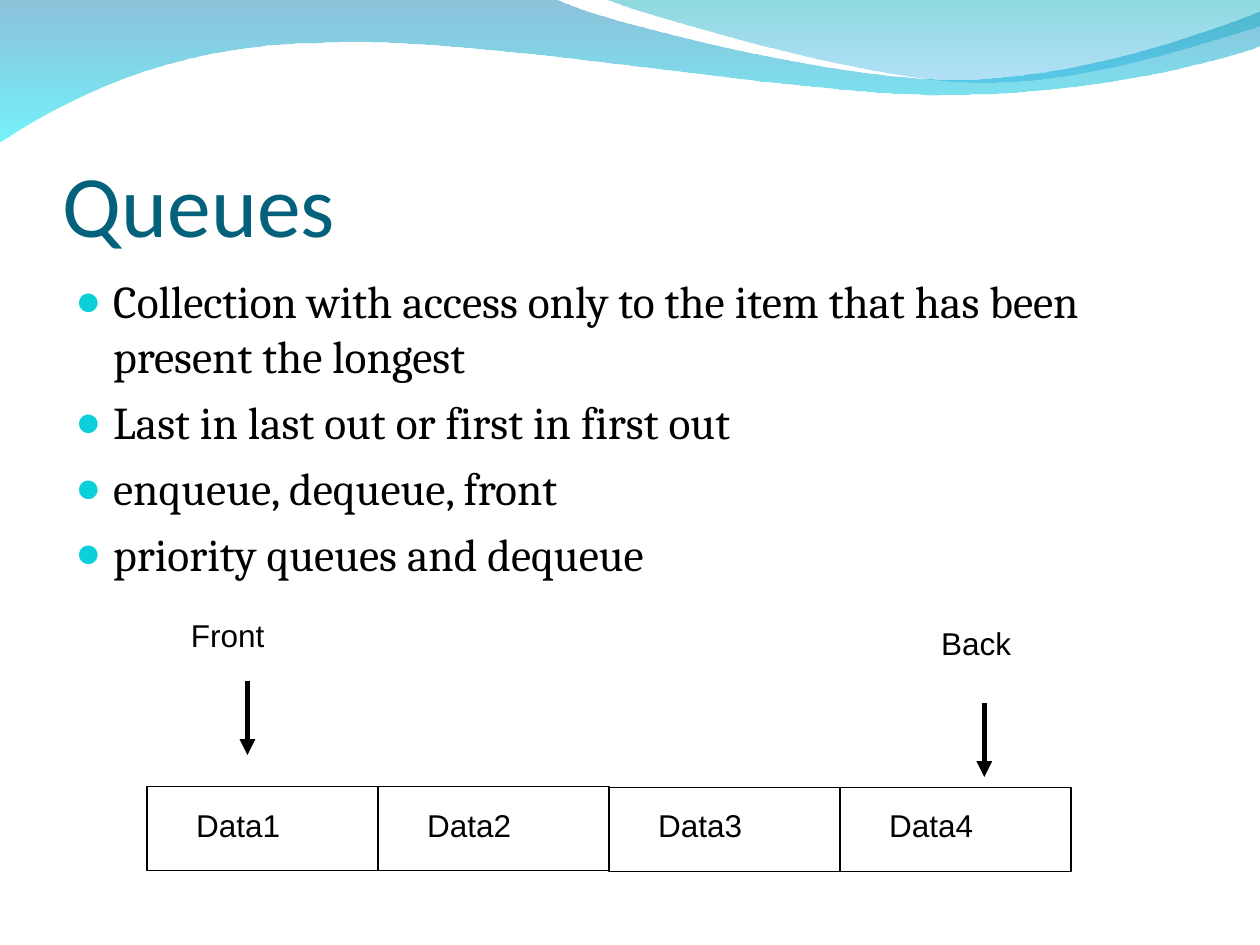
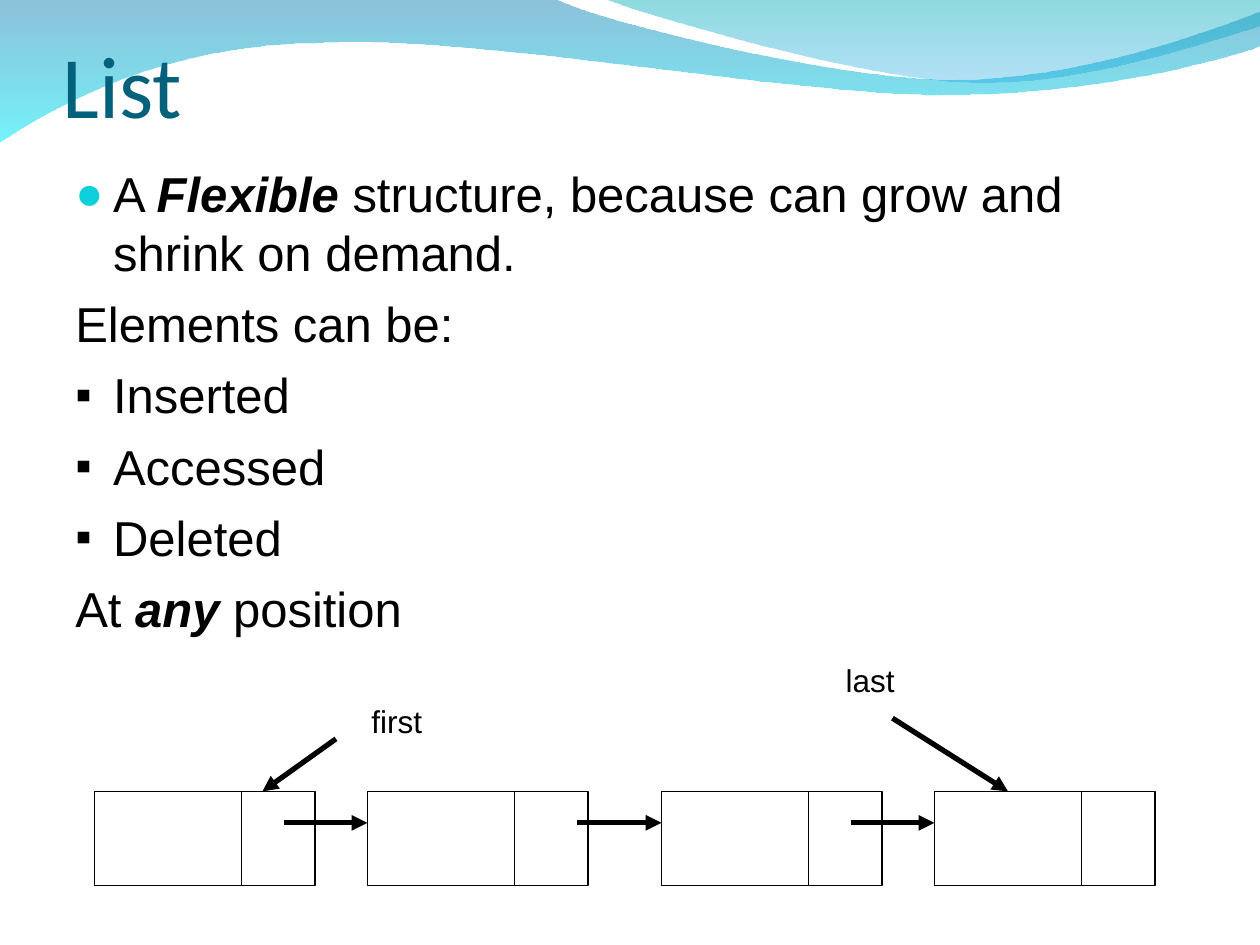
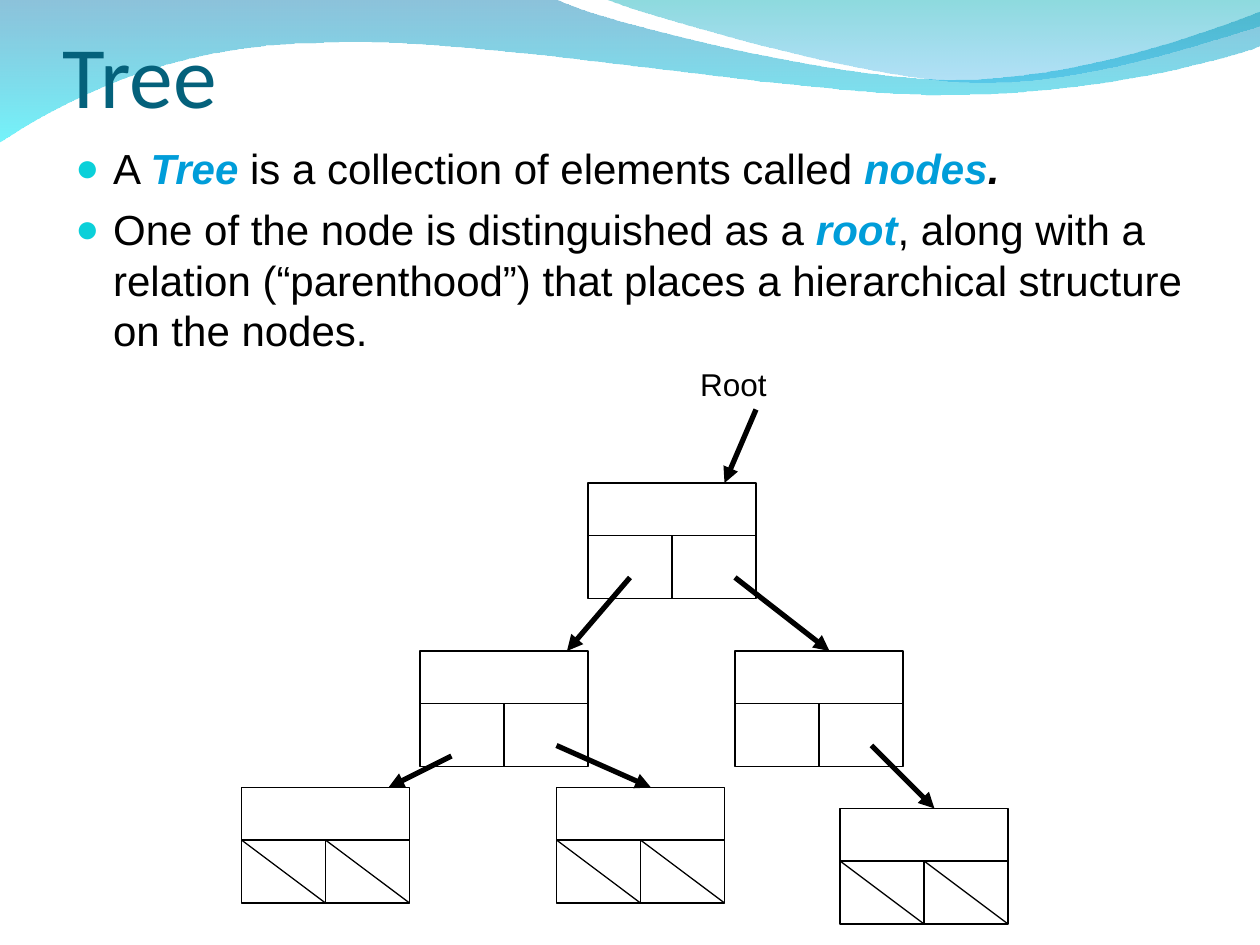
import pptx
import pptx.util
import pptx.dml.color
import pptx.enum.shapes
import pptx.enum.text
import pptx.oxml
import pptx.oxml.ns

COLS, ROWS = 120, 90  # twelve grid steps to the inch
STEP = pptx.util.Inches(1) // 12
INSET = pptx.util.Inches(0.1)
HANGING = pptx.util.Inches(0.3)

COLORS = {
    "title": "04617B", "text": "000000", "accent": "009DD9", "bullet": "0BD0D9",
    "wave_top": "0079AF", "wave_bottom": "00EBF8",
    "crest_top": "00ADB6", "crest_bottom": "009BE5",
}
BULLETS = {"dot": ("●", "bullet"), "square": ("▪", "text"), None: None}

# Outlines in inches: two numbers make a line, six a Bézier curve.
WAVE = [
    (0, -0.01), (4.4, -0.01), (4.76, 0.17, 6.64, 0.63, 7.58, 0.63),
    (8.53, 0.63, 9.58, 0.26, 10, 0.09), (10.01, 0.36),
    (9.83, 0.44, 8.7, 0.76, 7.46, 0.75), (6.22, 0.75, 3.82, 0.28, 2.57, 0.34),
    (1.29, 0.35, 0.46, 0.83, -0.01, 1.13),
]
CREST = [
    (4.79, -0.01), (5.09, 0.11, 6.82, 0.62, 7.69, 0.65),
    (8.56, 0.69, 9.61, 0.32, 10, 0.21), (10, 0),
]


def rgb(name):
    return pptx.dml.color.RGBColor.from_string(COLORS[name])


def add_xml(parent, tag, **attributes):
    child = pptx.oxml.parse_xml(f"<a:{tag} {pptx.oxml.ns.nsdecls('a')}/>")
    for key, value in attributes.items():
        child.set(key, str(value))
    parent.append(child)
    return child


def bend(sp, outline):
    """Join the three lines along each curve's control points into one curve."""
    path = next(sp._element.iter(pptx.oxml.ns.qn("a:path")))
    lines = iter(path.findall(pptx.oxml.ns.qn("a:lnTo")))
    for segment in outline[1:]:
        first = next(lines)
        if len(segment) == 6:
            curve = add_xml(path, "cubicBezTo")
            first.addprevious(curve)
            for line in (first, next(lines), next(lines)):
                curve.append(line[0])
                path.remove(line)


class Deck:
    """Holds the presentation, its style and the current slide."""

    def __init__(self):
        self.prs = pptx.Presentation()
        self.prs.slide_width, self.prs.slide_height = COLS * STEP, ROWS * STEP
        self.s = None

    def grid(self, *steps):
        return [round(n * STEP) for n in steps]

    def new_slide(self, title, top, height):
        self.s = self.prs.slides.add_slide(self.prs.slide_layouts[6])
        self.swoosh(WAVE, ("wave_top", 45), ("wave_bottom", 55))
        self.swoosh(CREST, ("crest_top", 45), ("crest_bottom", 30))
        tf = self.text_box(6, top, 108, height)
        tf.margin_left = tf.margin_right = tf.margin_bottom = 0
        tf.vertical_anchor = pptx.enum.text.MSO_ANCHOR.BOTTOM
        tf.text = title
        self.style(tf.paragraphs[0].runs[0], "Calibri", 50, "title")

    def swoosh(self, outline, *stops):
        """Draw a gradient shape; each stop is a colour and its opacity."""
        start, *points = [
            (pptx.util.Inches(segment[i]), pptx.util.Inches(segment[i + 1]))
            for segment in outline for i in range(0, len(segment), 2)]
        builder = self.s.shapes.build_freeform(*start)
        builder.add_line_segments(points, close=True)
        sp = builder.convert_to_shape()
        bend(sp, outline)
        sp.shadow.inherit = False
        sp.line.fill.background()
        sp.fill.gradient()
        sp.fill.gradient_angle = 270
        for stop, (color, opacity) in zip(sp.fill.gradient_stops, stops):
            stop.color.rgb = rgb(color)
        gradient = sp._element.spPr.find(pptx.oxml.ns.qn("a:gradFill"))
        for fill, (color, opacity) in zip(gradient.iter(pptx.oxml.ns.qn("a:srgbClr")), stops):
            add_xml(fill, "alpha", val=opacity * 1000)

    def text_box(self, left, top, width, height):
        tf = self.s.shapes.add_textbox(*self.grid(left, top, width, height)).text_frame
        tf.word_wrap = True
        tf.margin_left = tf.margin_right = INSET
        return tf

    def style(self, r, font, size, color="text", strong=False):
        r.font.name, r.font.size = font, pptx.util.Pt(size)
        r.font.color.rgb = rgb(color)
        r.font.bold = r.font.italic = strong

    def body(self, top, height, font, size, paragraphs):
        """Each paragraph is a bullet kind and runs; a run is text or (text, colour)
        when it is emphasised."""
        tf = self.text_box(6, top, 108, height)
        for i, (bullet, *runs) in enumerate(paragraphs):
            p = tf.add_paragraph() if i else tf.paragraphs[0]
            self.bullet(p, BULLETS[bullet])
            if i:
                p.space_before = pptx.util.Pt(size / 4)
            for run in runs:
                strong = isinstance(run, tuple)
                text, color = run if strong else (run, "text")
                r = p.add_run()
                r.text = text
                self.style(r, font, size, color, strong)

    def bullet(self, p, kind):
        pPr = p._p.get_or_add_pPr()
        pPr.set("marL", str(HANGING))
        pPr.set("indent", str(-HANGING))
        if kind:
            char, color = kind
            add_xml(add_xml(pPr, "buClr"), "srgbClr", val=COLORS[color])
            add_xml(pPr, "buSzPct", val=95000)
            add_xml(pPr, "buFont", typeface="Arial")
            add_xml(pPr, "buChar", char=char)

    def label(self, text, left, top, width):
        tf = self.text_box(left, top, width, 4.8)
        tf.word_wrap = False
        tf.text = text
        self.style(tf.paragraphs[0].runs[0], "Arial", 18)

    def box(self, left, top, width, height, parent=None):
        sp = (parent or self.s).shapes.add_shape(pptx.enum.shapes.MSO_SHAPE.RECTANGLE,
                                                 *self.grid(left, top, width, height))
        sp.shadow.inherit = False
        sp.fill.background()
        sp.line.color.rgb = rgb("text")
        sp.line.width = pptx.util.Pt(0.75)
        return sp

    def line(self, x1, y1, x2, y2, width=0.75, parent=None):
        cxn = (parent or self.s).shapes.add_connector(
            pptx.enum.shapes.MSO_CONNECTOR.STRAIGHT, *self.grid(x1, y1, x2, y2))
        cxn.line.color.rgb = rgb("text")
        cxn.line.width = pptx.util.Pt(width)
        add_xml(cxn._element.spPr, "effectLst")
        return cxn

    def arrow(self, x1, y1, x2, y2):
        cxn = self.line(x1, y1, x2, y2, width=3)
        add_xml(cxn.line._get_or_add_ln(), "tailEnd", type="triangle")

    def list_cell(self, left, top):
        group = self.s.shapes.add_group_shape()
        self.box(left, top, 21, 9, parent=group)
        self.line(left + 14, top, left + 14, top + 9, parent=group)

    def tree_node(self, left, top, leaf=False):
        """Draw a node with two child fields, struck out in a leaf."""
        middle, right, split, bottom = left + 8, left + 16, top + 5, top + 11
        node = self.box(left, top, 16, 11)
        self.line(left, split, right, split)
        self.line(middle, split, middle, bottom).end_connect(node, 2)
        if leaf:
            for x in (left, middle):
                self.line(x, split, x + 8, bottom)


def queue_slide(deck):
    deck.new_slide("Queues", 9.25, 15)
    deck.body(25.45, 57.6, "Cambria", 26, [
        ("dot", "Collection with access only to the item that has been present the longest"),
        ("dot", "Last in last out or first in first out"),
        ("dot", "enqueue, dequeue, front"),
        ("dot", "priority queues and dequeue"),
    ])
    for i in range(4):
        left = 14 + 22 * i
        deck.box(left, 74.9 + 0.1 * (i // 2), 22, 8)
        deck.label(f"Data{i + 1}", left + 3.5, 76.2, 10.6)
    deck.label("Front", 17, 58.1, 9.6)
    deck.arrow(23.57, 64.83, 23.57, 71.9)
    deck.label("Back", 88.45, 58.8, 9.4)
    deck.arrow(93.75, 67, 93.75, 74)


def list_slide(deck):
    deck.new_slide("List", 3.6, 9.4)
    deck.body(15.02, 65.4, "Arial", 28, [
        ("dot", "A ", ("Flexible ", "text"), "structure, because can grow and shrink on demand."),
        (None, "Elements can be:"),
        ("square", "Inserted"),
        ("square", "Accessed"),
        ("square", "Deleted"),
        (None, "At ", ("any ", "text"), "position"),
    ])
    top, lefts = 75.37, (9, 35, 63, 89)
    for left in lefts:
        deck.list_cell(left, top)
    for left in lefts[1:]:
        deck.arrow(left - 8, top + 3, left, top + 3)
    deck.label("first", 34.2, 66.3, 7.5)
    deck.arrow(32, 70.37, 25, top)
    deck.label("last", 79.35, 62.4, 7.4)
    deck.arrow(85, 68.4, 96, top)


def tree_slide(deck):
    deck.new_slide("Tree", 3.6, 8.4)
    deck.body(13, 67.4, "Arial", 24, [
        ("dot", "A ", ("Tree ", "accent"), "is a collection of elements called ",
         ("nodes", "accent"), (".", "text")),
        ("dot", "One of the node is distinguished as a ", ("root", "accent"),
         ", along with a relation (“parenthood”) that places a hierarchical structure"
         " on the nodes."),
    ])
    for left, top in ((56, 46), (70, 62), (40, 62)):
        deck.tree_node(left, top)
    for left, top in ((53, 75), (23, 75), (80, 77)):
        deck.tree_node(left, top, leaf=True)
    deck.label("Root", 65.5, 34.2, 9)
    for ends in ((72, 39, 69, 46), (60, 55, 54, 62), (70, 55, 79, 62),
                 (43, 72, 37, 75), (53, 71, 62, 75), (83, 71, 89, 77)):
        deck.arrow(*ends)


def main():
    deck = Deck()
    queue_slide(deck)
    list_slide(deck)
    tree_slide(deck)
    deck.prs.save("out.pptx")


if __name__ == "__main__":
    main()
